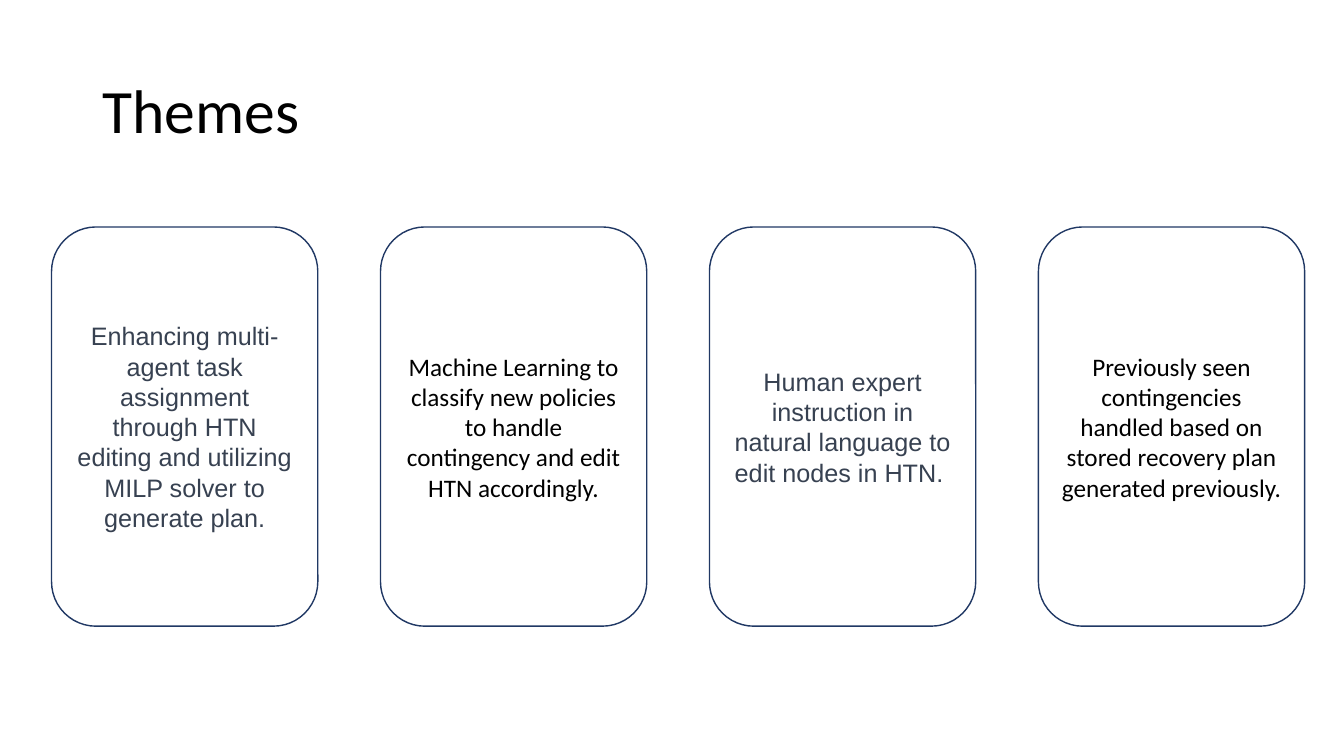
"""Build the Themes slide: a title above four rounded cards."""
import pptx
import pptx.util
import pptx.dml.color
import pptx.enum.shapes
import pptx.enum.text

Cm, Pt = pptx.util.Cm, pptx.util.Pt
RGB = pptx.dml.color.RGBColor.from_string
ALIGN = pptx.enum.text.PP_ALIGN
MIDDLE = pptx.enum.text.MSO_ANCHOR.MIDDLE
COLORS = {"text": "000000", "slate": "374151", "border": "203864"}


def write(shape, text, align, color, font):
    tf = shape.text_frame
    tf.word_wrap = True
    tf.auto_size = pptx.enum.text.MSO_AUTO_SIZE.NONE
    tf.vertical_anchor = MIDDLE
    p = tf.paragraphs[0]
    p.alignment = align
    r = p.add_run()
    r.text = text
    r.font.color.rgb = RGB(COLORS[color])
    for name, value in font.items():
        setattr(r.font, name, value)
    return p


prs = pptx.Presentation()
prs.slide_width, prs.slide_height = Cm(33.87), Cm(19.05)
s = prs.slides.add_slide(prs.slide_layouts[5])

title = s.shapes.title
box = {"left": Cm(2.33), "top": Cm(1.01), "width": Cm(29.21), "height": Cm(3.68)}
for name, value in box.items():
    setattr(title, name, value)
p = write(title, "Themes", ALIGN.LEFT, "text", {"name": "Calibri", "size": Pt(44)})
p.line_spacing = 0.9

cards = [
    ("Enhancing multi-agent task assignment through HTN editing and utilizing "
     "MILP solver to generate plan.", "Arial", "slate"),
    ("Machine Learning to classify new policies to handle contingency and edit "
     "HTN accordingly.", "Calibri", "text"),
    ("Human expert instruction in natural language to edit nodes in HTN. ",
     "Arial", "slate"),
    ("Previously seen contingencies handled based on stored recovery plan "
     "generated previously.", "Calibri", "text"),
]
for i, (text, face, color) in enumerate(cards):
    sp = s.shapes.add_shape(pptx.enum.shapes.MSO_SHAPE.ROUNDED_RECTANGLE,
                            Cm(1.3 + 8.29 * i), Cm(5.72), Cm(6.71), Cm(10.06))
    sp.shadow.inherit = False
    sp.fill.background()
    sp.line.color.rgb = RGB(COLORS["border"])
    sp.line.width = Pt(1)
    write(sp, text, ALIGN.CENTER, color, {"name": face, "size": Pt(18)})

prs.save("out.pptx")
